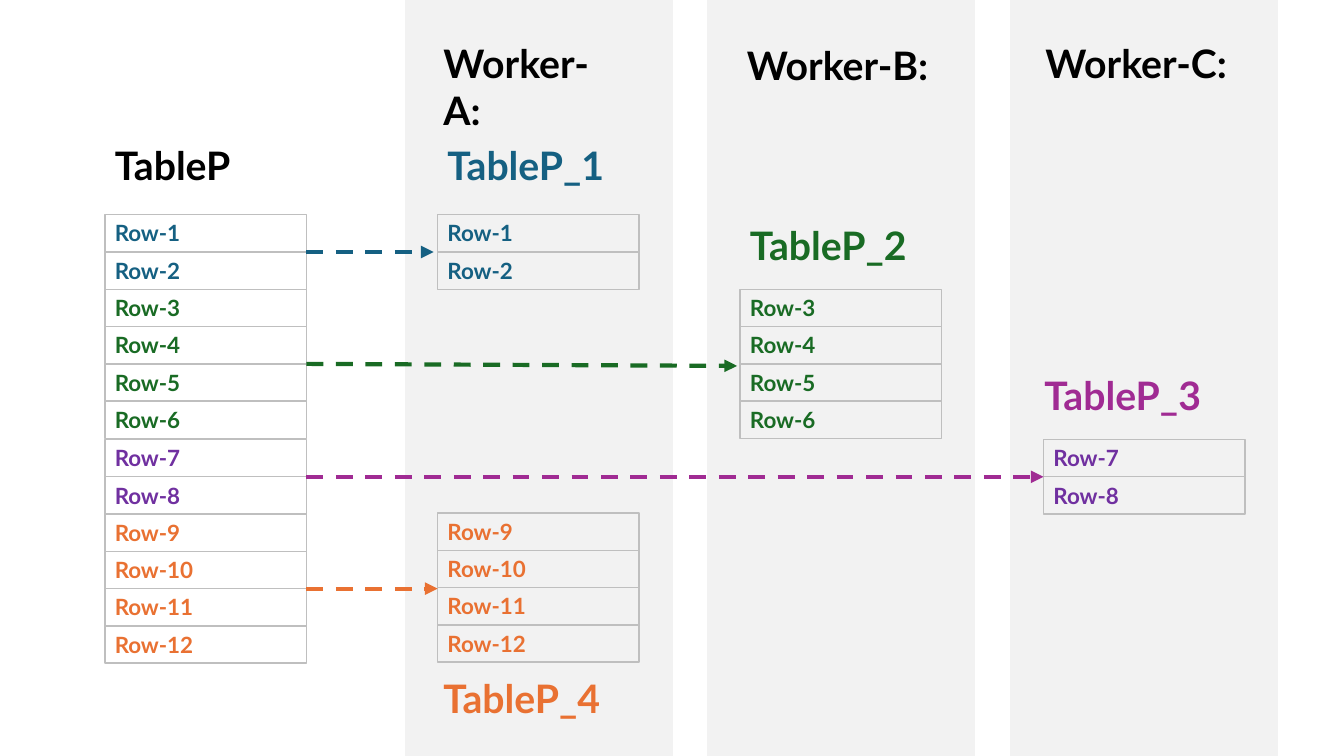
from lxml import etree
from pptx import Presentation
from pptx.dml.color import RGBColor
from pptx.enum import dml, shapes, text
from pptx.oxml import ns
from pptx.util import Emu, Pt

BLACK = RGBColor(0x00, 0x00, 0x00)
PANEL = RGBColor(0xF2, 0xF2, 0xF2)
BORDER = RGBColor(0xBF, 0xBF, 0xBF)
BLUE = RGBColor(0x15, 0x60, 0x82)
GREEN = RGBColor(0x19, 0x6B, 0x24)
PURPLE = RGBColor(0x70, 0x30, 0xA0)
MAGENTA = RGBColor(0xA0, 0x2B, 0x93)
ORANGE = RGBColor(0xE9, 0x71, 0x32)

PX = 9144  # EMU per px, 100 px to the inch
ROW_WIDTH, ROW_HEIGHT = 200, 37
SOURCE_LEFT, SOURCE_TOP = 104, 213


class Diagram:
    """Holds the style and the current slide."""

    font = "Lato"
    heading_size = 28
    row_size = 16

    def __init__(self, page):
        self.page = page

    def label(self, box, words, size, color):
        frame = box.text_frame
        frame.text = words
        frame.word_wrap = True
        frame.auto_size = text.MSO_AUTO_SIZE.SHAPE_TO_FIT_TEXT
        frame.vertical_anchor = text.MSO_ANCHOR.TOP
        para = frame.paragraphs[0]
        para.alignment = text.PP_ALIGN.LEFT
        font = para.runs[0].font
        font.name, font.size, font.bold = self.font, Pt(size), True
        font.color.rgb = color

    def rectangle(self, parent, left, top, width, height, line, points):
        box = parent.shapes.add_shape(
            shapes.MSO_SHAPE.RECTANGLE,
            *(Emu(n * PX) for n in (left, top, width, height)))
        box.shadow.inherit = False
        box.fill.background()
        box.line.color.rgb = line
        box.line.width = Pt(points)
        return box

    def panel(self, left):
        box = self.rectangle(self.page, left, 0, 264, 750, PANEL, 1.5)
        box.fill.solid()
        box.fill.fore_color.rgb = PANEL

    def heading(self, words, left, top, color=BLACK, width=200):
        box = self.page.shapes.add_textbox(
            *(Emu(n * PX) for n in (left, top, width, 57)))
        self.label(box, words, self.heading_size, color)

    def rows(self, first, last, left, top, color):
        group = self.page.shapes.add_group_shape()
        for index, number in enumerate(range(first, last + 1)):
            box = self.rectangle(group, left, top + index * ROW_HEIGHT,
                                 ROW_WIDTH, ROW_HEIGHT, BORDER, 1)
            self.label(box, f"Row-{number}", self.row_size, color)

    def arrow(self, start, end, color):
        line = self.page.shapes.add_connector(
            shapes.MSO_CONNECTOR.STRAIGHT,
            *(Emu(n * PX) for n in (*start, *end)))
        line.line.color.rgb = color
        line.line.width = Pt(3)
        line.line.dash_style = dml.MSO_LINE.DASH
        outline = line.get_or_add_ln()
        etree.SubElement(outline, ns.qn("a:tailEnd"), type="triangle")
        etree.SubElement(line._element.spPr, ns.qn("a:effectLst"))


def main():
    deck = Presentation()
    deck.slide_width, deck.slide_height = Emu(1333 * PX), Emu(750 * PX)
    diagram = Diagram(deck.slides.add_slide(deck.slide_layouts[6]))

    # Worker panels with their headings
    for left in (403, 702, 1003):
        diagram.panel(left)
    diagram.heading("Worker-A:", 430, 34, width=198)
    diagram.heading("Worker-B:", 731, 36, width=204)
    diagram.heading("Worker-C:", 1027, 34, width=207)

    # Source table and its partitions:
    # name, heading place and colour, first and last row, rows place and
    # colour, arrow end
    diagram.heading("TableP", SOURCE_LEFT, 135, width=144)
    partitions = [
        ("TableP_1", (434, 135), BLUE, 1, 2, (434, 213), BLUE, (430, 250)),
        ("TableP_2", (734, 215), GREEN, 3, 6, (734, 287), GREEN, (731, 363)),
        ("TableP_3", (1026, 363), MAGENTA, 7, 8, (1035, 436), PURPLE,
         (1035, 473)),
        ("TableP_4", (430, 664), ORANGE, 9, 12, (434, 509), ORANGE,
         (434, 584)),
    ]
    for name, place, accent, first, last, corner, color, tip in partitions:
        source_top = SOURCE_TOP + round((first - 1) * 37.1)
        middle = source_top + (last - first + 1) * ROW_HEIGHT // 2
        diagram.rows(first, last, SOURCE_LEFT, source_top, color)
        diagram.rows(first, last, *corner, color)
        diagram.heading(name, *place, accent)
        diagram.arrow((SOURCE_LEFT + ROW_WIDTH, middle), tip, accent)

    deck.save("out.pptx")


if __name__ == "__main__":
    main()
